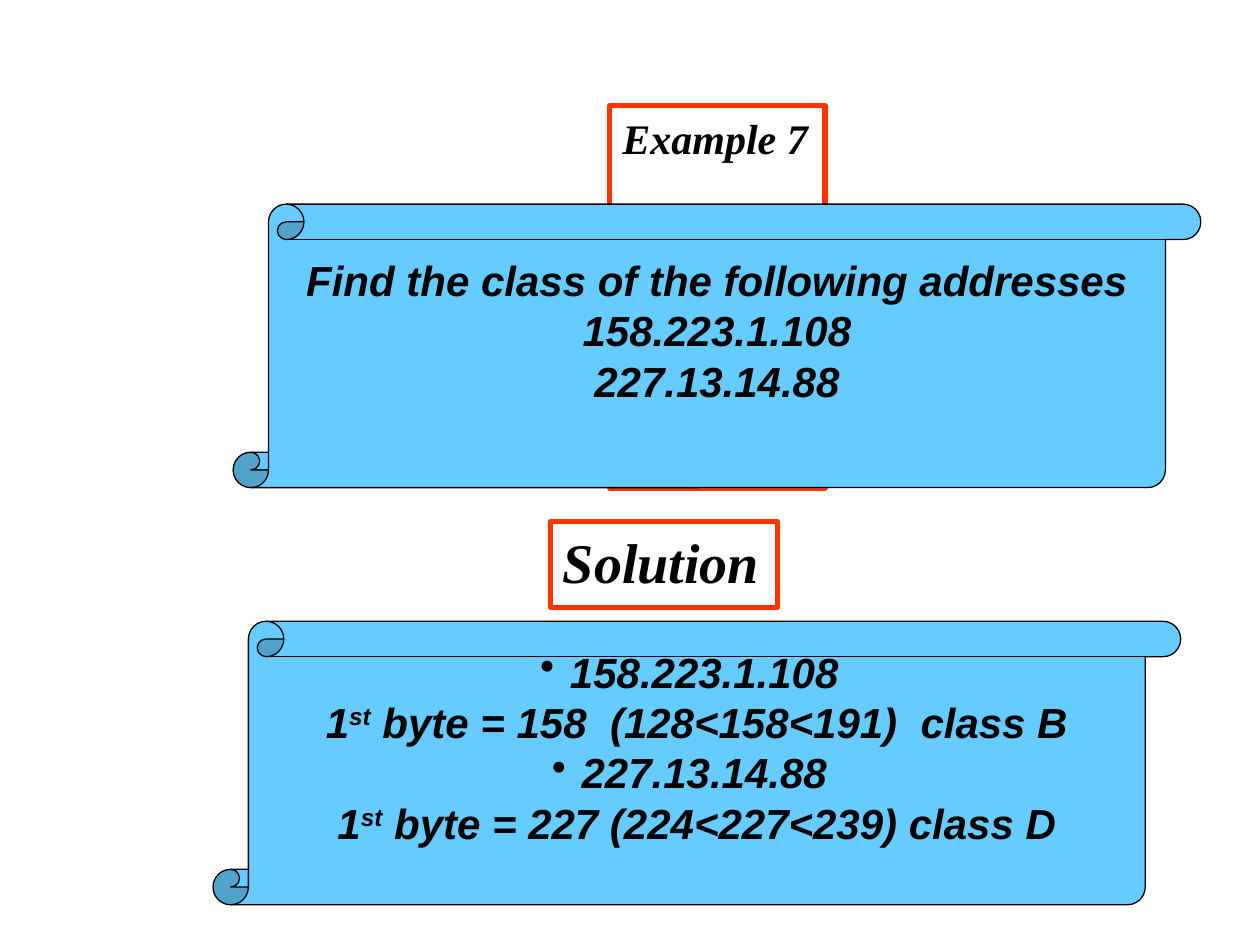
"""Build the Example 7 slide on finding the class of IP addresses."""
from dataclasses import dataclass

from lxml import etree
from pptx import Presentation
from pptx.dml.color import RGBColor
from pptx.enum.shapes import MSO_SHAPE
from pptx.enum.text import MSO_ANCHOR, MSO_AUTO_SIZE, PP_ALIGN
from pptx.oxml.ns import qn
from pptx.util import Pt

RECTANGLE, SCROLL = MSO_SHAPE.RECTANGLE, MSO_SHAPE.VERTICAL_SCROLL
TOP, MIDDLE = MSO_ANCHOR.TOP, MSO_ANCHOR.MIDDLE
LEFT, CENTER = PP_ALIGN.LEFT, PP_ALIGN.CENTER
GROW, FIXED = MSO_AUTO_SIZE.SHAPE_TO_FIT_TEXT, MSO_AUTO_SIZE.NONE


@dataclass(frozen=True)
class Theme:
    ink: RGBColor = RGBColor(0x00, 0x00, 0x00)
    paper: RGBColor = RGBColor(0xFF, 0xFF, 0xFF)
    frame: RGBColor = RGBColor(0xFF, 0x33, 0x00)
    scroll: RGBColor = RGBColor(0x66, 0xCC, 0xFF)
    heading_font: str = "Times New Roman"
    body_font: str = "Arial"
    size: int = 24
    solution_size: int = 32


theme = Theme()


def write(paragraph, text, *, font, size=theme.size, align=LEFT, bullet=False):
    """Write text into a paragraph, raising each part set between carets."""
    paragraph.alignment = align
    for index, part in enumerate(text.split("^")):
        run = paragraph.add_run()
        run.text = part
        run.font.name, run.font.size = font, Pt(size)
        run.font.bold = run.font.italic = True
        run.font.color.rgb = theme.ink
        if index % 2:
            run.font._element.set("baseline", "30000")
    if bullet:
        properties = paragraph._p.get_or_add_pPr()
        etree.SubElement(properties, qn("a:buChar")).set("char", "•")


def dress(shape, *, fill, line, width, anchor, fit):
    """Set the fill, outline and text frame of a shape."""
    shape.fill.solid()
    shape.fill.fore_color.rgb = fill
    shape.line.color.rgb = line
    shape.line.width = Pt(width)
    frame = shape.text_frame
    frame.word_wrap = False
    frame.auto_size = fit
    frame.vertical_anchor = anchor
    return frame


deck = Presentation()
deck.slide_width, deck.slide_height = Pt(720), Pt(540)
slide = deck.slides.add_slide(deck.slide_layouts[5])

example = slide.shapes.title
example.left, example.top, example.width, example.height = Pt(348.5), Pt(60.5), Pt(123), Pt(39)
solution = slide.shapes.add_shape(RECTANGLE, Pt(314.6), Pt(298), Pt(129.6), Pt(49))
solution.shadow.inherit = False
for heading, text, size in (
    (example, "Example 7", theme.size),
    (solution, "Solution", theme.solution_size),
):
    frame = dress(heading, fill=theme.paper, line=theme.frame, width=3, anchor=TOP, fit=GROW)
    write(frame.paragraphs[0], text, font=theme.heading_font, size=size)

question_lines = (
    ("Find the class of the following addresses", False),
    ("158.223.1.108", False),
    ("227.13.14.88", False),
)
answer_lines = (
    ("158.223.1.108", True),
    ("1^st^ byte = 158  (128<158<191)  class B", False),
    ("227.13.14.88", True),
    ("1^st^ byte = 227 (224<227<239) class D", False),
)
for left, top, lines in ((133.2, 116.64, question_lines), (121.7, 355, answer_lines)):
    scroll = slide.shapes.add_shape(SCROLL, Pt(left), Pt(top), Pt(553), Pt(162))
    scroll.shadow.inherit = False
    frame = dress(scroll, fill=theme.scroll, line=theme.ink, width=0.75, anchor=MIDDLE, fit=FIXED)
    frame.margin_bottom = Pt(32)
    for index, (text, bullet) in enumerate(lines):
        paragraph = frame.add_paragraph() if index else frame.paragraphs[0]
        write(paragraph, text, font=theme.body_font, align=CENTER, bullet=bullet)

deck.save("out.pptx")
